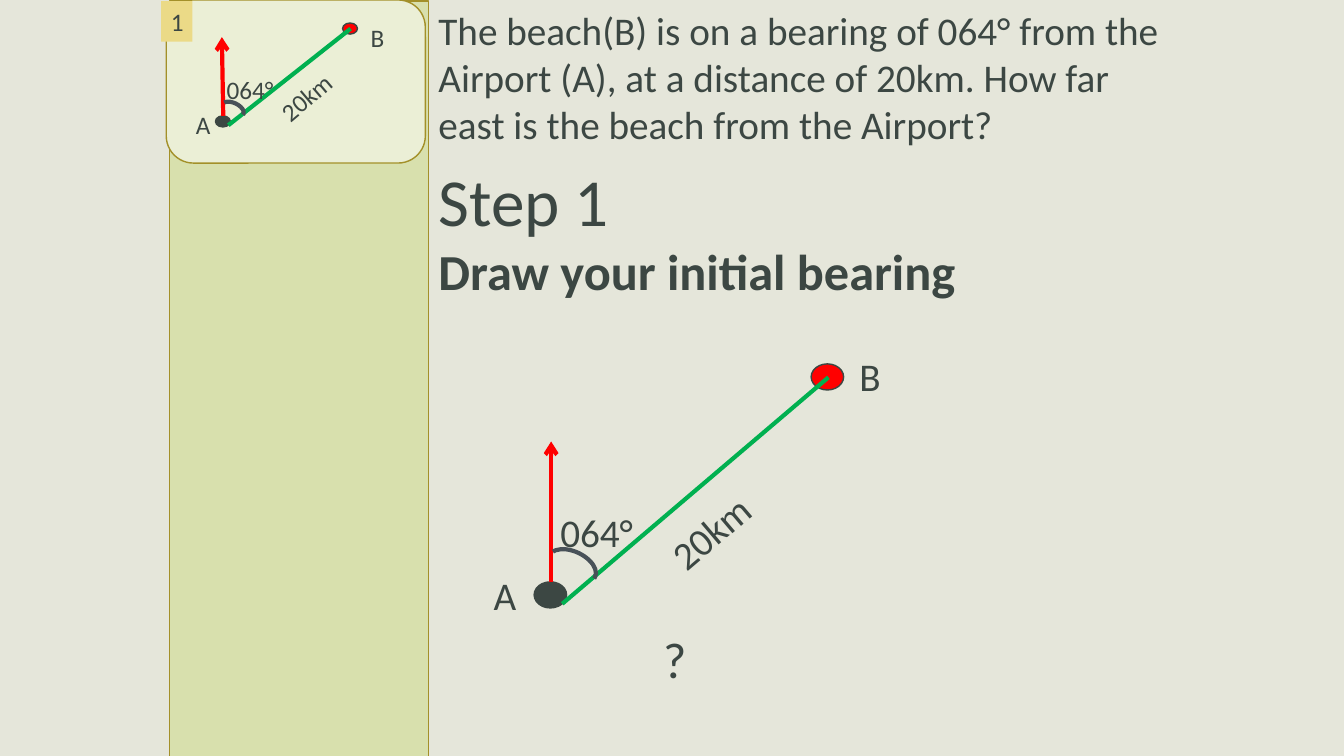
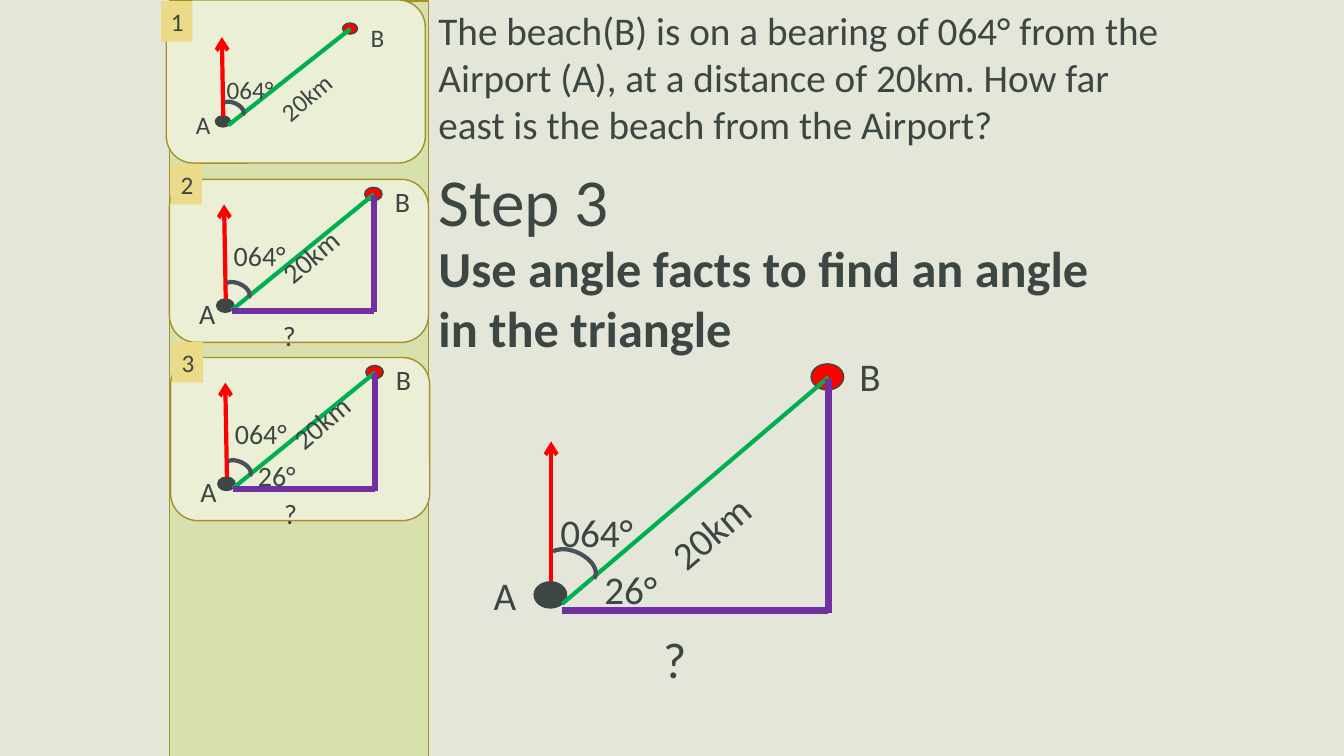
from lxml import etree
from pptx import Presentation
from pptx import util as u
from pptx.dml.color import RGBColor
from pptx.enum import shapes, text
from pptx.oxml.ns import qn

INK, RED, GREEN, PURPLE, ARC = "3C4743", "FF0000", "00B050", "7030A0", "485158"
PAPER, PANEL, CARD, BADGE, EDGE = "E5E6DA", "D8E0AD", "EBEFD6", "EBDA87", "A39029"
KIND = shapes.MSO_SHAPE
QUESTION = ("The beach(B) is on a bearing of 064° from the Airport (A), at a distance of 20km. "
            "How far east is the beach from the Airport?")

MAIN = dict(size=28, north=0.318, lean=0, base=1.01, labels={
    "A": (-1.27, 5.11, 2.54), "064°": (0.41, 3.51, 2.54),
    "20km": (2.92, 3.1, 4.01), "B": (7.95, -0.41, 2.54)})
BEARING = dict(size=18, north=0.136, lean=0.01, base=0.99, labels={
    "A": (-0.74, 2.06, 1.17), "064°": (0.03, 1.17, 1.91),
    "20km": (1.14, 0.89, 3.38), "B": (3.66, -0.38, 1.17)})
BEARING["labels"]["B"] = (3.66, -0.15, 1.17)
TRIANGLE = dict(size=20, north=0.137, lean=0.01, base=0.99, triangle=True, labels={
    "A": (-0.69, 2.62, 1.37), "064°": (0.18, 1.17, 3.35), "20km": (1.3, 1.17, 2.16),
    "B": (4.24, -0.2, 1.37), "?": (1.42, 3.17, 2.18)})
ANGLE = dict(TRIANGLE, labels=dict(
    TRIANGLE["labels"], **{"20km": (1.55, 0.86, 2.16), "26°": (0.76, 2.21, 3.35)}))
MAIN_ANGLE = dict(MAIN, triangle=True, labels=dict(MAIN["labels"], **{"26°": (1.52, 4.95, 2.54)}))

CARDS = [
    dict(at=(4.19, 0), badge=(-0.13, 0.03), box=(1.24, 0.58, 3.58, 2.62), look=BEARING),
    dict(at=(4.27, 4.52), badge=(0.03, -0.39), box=(1.19, 0.2, 4.17, 3.15), look=TRIANGLE),
    dict(at=(4.3, 9.01), badge=(0.03, -0.39), box=(1.19, 0.2, 4.17, 3.15), look=ANGLE),
]


def rgb(value):
    return RGBColor.from_string(value)


def apply(obj, values):
    for name, value in values.items():
        setattr(obj, name, value)


def write(sp, words, size, bold=False, align=text.PP_ALIGN.LEFT):
    tf = sp.text_frame
    apply(tf, dict(word_wrap=True, vertical_anchor=text.MSO_ANCHOR.TOP))
    p = tf.paragraphs[0]
    p.alignment = align
    r = p.add_run()
    r.text = words
    apply(r.font, dict(name="Calibri", size=u.Pt(size), bold=bold))
    r.font.color.rgb = rgb(INK)


def label(s, x, y, w, words, size, bold=False, rotation=0):
    h = size * 0.0423 + 0.25
    sp = s.shapes.add_textbox(*map(u.Cm, (x, y, w, h)))
    sp.rotation = rotation
    write(sp, words, size, bold)


def shape(s, kind, x, y, w, h, fill=None, line=None, width=1):
    sp = s.shapes.add_shape(kind, *map(u.Cm, (x, y, w, h)))
    sp.shadow.inherit = False
    if fill:
        sp.fill.solid()
        sp.fill.fore_color.rgb = rgb(fill)
    else:
        sp.fill.background()
    if line:
        sp.line.color.rgb = rgb(line)
        sp.line.width = u.Pt(width)
    else:
        sp.line.fill.background()
    return sp


def segment(s, start, end, color, width=3, arrow=False):
    cx = s.shapes.add_connector(shapes.MSO_CONNECTOR.STRAIGHT, *map(u.Cm, (*start, *end)))
    cx.line.color.rgb = rgb(color)
    cx.line.width = u.Pt(width)
    if arrow:
        etree.SubElement(cx.line._get_or_add_ln(), qn("a:tailEnd"), type="arrow")
    etree.SubElement(cx._element.spPr, qn("a:effectLst"))


def diagram(s, x, y, w, h, size, north, lean, base, labels, triangle=False):
    def at(fx, fy):
        return x + fx * w, y + fy * h

    dot = 0.105 * w, 0.107 * h
    shape(s, KIND.OVAL, *at(0, 0.893), *dot, INK, INK)
    shape(s, KIND.OVAL, *at(0.895, 0), *dot, RED, INK)
    segment(s, at(0.055, 0.893), at(0.055 - lean, north), RED, arrow=True)
    segment(s, at(0.091, 0.983), at(0.951, 0.055), GREEN)
    arc = shape(s, KIND.ARC, *at(0.042, 0.769), 0.163 * w, 0.12 * h, line=ARC, width=3)
    arc.rotation = 25.2
    arc.adjustments[0], arc.adjustments[1] = 115.164, 2.457
    if triangle:
        segment(s, at(0.091, base), at(0.951, base), PURPLE, 4.5)
        segment(s, at(0.951, 0.062), at(0.951, base + 0.01), PURPLE, 4.5)
    for words, (dx, dy, width) in labels.items():
        label(s, x + dx, y + dy, width, words, size, rotation=319.7 if words == "20km" else 0)


def card(s, number, at, badge, box, look):
    x, y = at
    shape(s, KIND.ROUNDED_RECTANGLE, x, y, 6.53, 4.11, CARD, EDGE)
    sp = shape(s, KIND.RECTANGLE, x + badge[0], y + badge[1], 0.79, 1.02, BADGE)
    write(sp, str(number), 18, align=text.PP_ALIGN.CENTER)
    dx, dy, w, h = box
    diagram(s, x + dx, y + dy, w, h, **look)


def step_slide(prs, step, task, task_top, look):
    s = prs.slides.add_slide(prs.slide_layouts[6])
    x = 10.8
    label(s, x, 0.03, 18.85, QUESTION, 28)
    label(s, x, 3.89, 5.59, f"Step {step}", 48)
    label(s, x, task_top, 18.06, task, 36, bold=True)
    shape(s, KIND.RECTANGLE, 4.27, 0.03, 6.53, 19.05, PANEL, EDGE)
    for number, values in enumerate(CARDS[:step], 1):
        card(s, number, **values)
    diagram(s, 13.46, 9.17, 7.8, 6.15, **look)
    label(s, 16.46, 15.7, 4.09, "?", 36)


def main():
    prs = Presentation()
    apply(prs, dict(slide_width=u.Cm(33.87), slide_height=u.Cm(19.05)))
    fill = prs.slide_master.background.fill
    fill.solid()
    fill.fore_color.rgb = rgb(PAPER)
    step_slide(prs, 1, "Draw your initial bearing", 5.92, MAIN)
    step_slide(prs, 3, "Use angle facts to find an angle in the triangle", 5.84, MAIN_ANGLE)
    prs.save("out.pptx")


if __name__ == "__main__":
    main()
